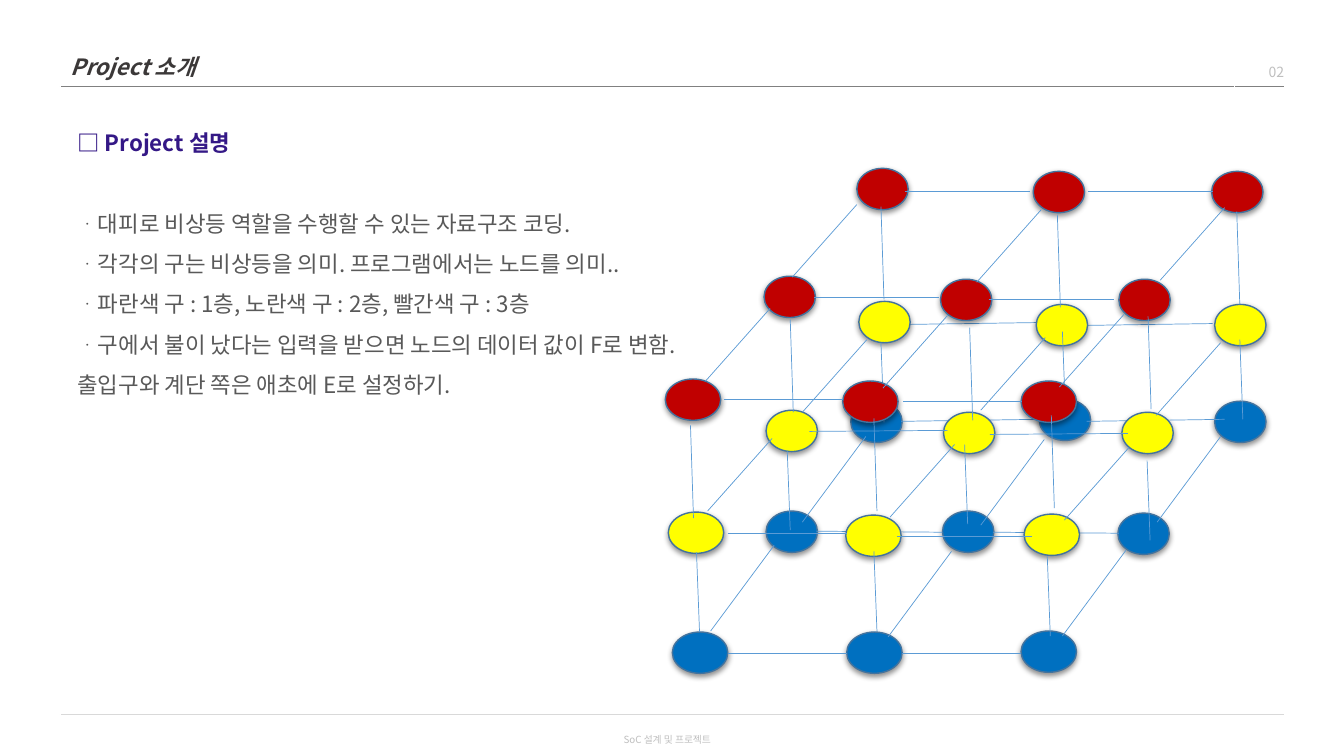
from lxml import etree
from pptx import Presentation
from pptx.dml.color import RGBColor
from pptx.enum.shapes import MSO_CONNECTOR, MSO_SHAPE
from pptx.enum.text import MSO_ANCHOR, PP_ALIGN
from pptx.oxml.ns import qn
from pptx.util import Pt

STRAIGHT, OVAL = MSO_CONNECTOR.STRAIGHT, MSO_SHAPE.OVAL
MIDDLE, BOTTOM = MSO_ANCHOR.MIDDLE, MSO_ANCHOR.BOTTOM
LEFT, CENTER, RIGHT = PP_ALIGN.LEFT, PP_ALIGN.CENTER, PP_ALIGN.RIGHT
FONT = "Noto Sans CJK KR"
INK, GREY, PURPLE, PALE = (RGBColor.from_string(c) for c in ("3B3838", "595959", "341886", "BFBFBF"))
BLUE, YELLOW, RED = (RGBColor.from_string(c) for c in ("0070C0", "FFFF00", "C00000"))
WIRE, RIM = RGBColor(0x5B, 0x9B, 0xD5), RGBColor(0x43, 0x73, 0x9E)

# Content
TITLE, PAGE_NUMBER, FOOTER = "Project 소개", "02", "SoC 설계 및 프로젝트"
HEADING = "□ Project 설명"
NOTES = [
    "ᆞ대피로 비상등 역할을 수행할 수 있는 자료구조 코딩.",
    "ᆞ각각의 구는 비상등을 의미. 프로그램에서는 노드를 의미..",
    "ᆞ파란색 구 : 1층, 노란색 구 : 2층, 빨간색 구 : 3층",
    "ᆞ구에서 불이 났다는 입력을 받으면 노드의 데이터 값이 F로 변함.",
    "출입구와 계단 쪽은 애초에 E로 설정하기.",
]

# Lattice, in units of 72 points: spheres are (left, top), front row first;
# wires are a (run, rise) step with the points they start from
UNIT = 72
FRONT_WIDTH, REAR_WIDTH, SPHERE_HEIGHT = 0.55, 0.51, 0.41
REAR_WIRES = [((1.37, -0.02), [(10.66, 3.23), (8.92, 3.22)])]
FLOORS = [
    (BLUE,
     [(6.67, 6.27), (8.4, 6.27), (10.13, 6.26),
      (7.6, 5.07), (9.35, 5.07), (11.09, 5.09),
      (8.44, 3.98), (10.31, 3.96), (12.05, 3.98)],
     [((-0.63, 0.85), [(7.68, 5.41), (9.44, 5.47), (11.17, 5.46),
                       (12.11, 4.33), (10.36, 4.36), (8.59, 4.33)]),
      ((1.18, 0), [(7.22, 6.48), (8.95, 6.48)]),
      ((1.25, 0.01), [(8.1, 5.27), (9.85, 5.28)]),
      ((1.37, -0.02), [(8.94, 4.18), (10.78, 4.18)])]),
    (YELLOW,
     [(8.39, 5.11), (10.16, 5.1), (6.63, 5.08),
      (9.36, 4.09), (11.13, 4.09), (7.6, 4.07),
      (10.28, 3.02), (12.05, 3.02), (8.52, 2.99)],
     [((0.03, 0.79), [(6.91, 5.48), (8.67, 5.47), (10.39, 5.52),
                      (7.81, 4.47), (9.57, 4.41), (11.38, 4.57),
                      (8.74, 3.4), (10.54, 3.29), (12.3, 3.37)]),
      ((1.18, 0), [(7.22, 5.29)]),
      ((1.34, 0), [(8.9, 5.32)]),
      ((-0.64, 0.72), [(11.2, 4.44), (12.11, 3.4), (7.66, 4.35),
                       (8.6, 3.37), (9.47, 4.41), (10.37, 3.35)]),
      ((1.37, -0.01), [(8.03, 4.28), (9.82, 4.31)])]),
    (RED,
     [(8.36, 3.78), (10.13, 3.78), (6.6, 3.76),
      (9.33, 2.77), (11.1, 2.77), (7.58, 2.74),
      (10.25, 1.7), (12.02, 1.7), (8.5, 1.67)],
     [((0.03, 0.92), [(6.85, 4.22), (8.67, 4.15), (10.43, 4.12),
                      (7.84, 3.17), (9.62, 3.25), (11.39, 3.14),
                      (12.27, 2.1), (10.49, 2.13), (8.74, 2.05)]),
      ((-0.64, 0.72), [(7.64, 3.06), (8.5, 2.03), (10.33, 2.08),
                       (9.4, 3.13), (12.15, 2.06), (11.15, 3.12)]),
      ((1.18, 0), [(7.18, 3.96), (8.96, 3.98)]),
      ((1.24, 0), [(8.08, 2.95), (9.81, 2.97), (8.98, 1.9), (10.79, 1.9)])]),
]


def units(*values):
    return [Pt(value * UNIT) for value in values]


def add_node(parent, tag, **attributes):
    return etree.SubElement(parent, qn(tag), attributes)


def write(para, text, align=LEFT, spacing=1.5, **look):
    para.alignment, para.line_spacing = align, spacing
    span = para.add_run()
    span.text = text
    color = look.pop("color")
    for name, value in {"name": FONT, "bold": False, "italic": False, **look}.items():
        setattr(span.font, name, value)
    span.font.color.rgb = color
    add_node(span.font._element, "a:ea", typeface=FONT)


def add_band(page, left, top, widths, height, side, color):
    """One-row table without fill, ruled along one side."""
    frame = page.shapes.add_table(1, len(widths), *units(left, top, sum(widths), height))
    table = frame.table
    table.first_row = table.horz_banding = False
    for column, width in zip(table.columns, widths):
        column.width = Pt(width * UNIT)
    for cell in table.rows[0].cells:
        properties = cell._tc.get_or_add_tcPr()
        rule = add_node(properties, side, w=str(Pt(0.75)))
        add_node(add_node(rule, "a:solidFill"), "a:srgbClr", val=color)
        cell.fill.background()
        cell.vertical_anchor = MIDDLE
    return table.rows[0].cells


def add_wires(page, groups):
    for (run, rise), starts in groups:
        for x, y in starts:
            wire = page.shapes.add_connector(STRAIGHT, *units(x, y, x + run, y + rise))
            wire.line.color.rgb, wire.line.width = WIRE, Pt(0.5)
            add_node(wire._element.spPr, "a:effectLst")


def add_sphere(page, left, top, width, color):
    sphere = page.shapes.add_shape(OVAL, *units(left, top, width, SPHERE_HEIGHT))
    sphere.fill.solid()
    sphere.fill.fore_color.rgb = color
    sphere.line.color.rgb, sphere.line.width = RIM, Pt(1)
    effects = add_node(sphere._element.spPr, "a:effectLst")
    shadow = add_node(effects, "a:outerShdw", blurRad=str(Pt(4)), dist=str(Pt(2)),
                      dir="5400000", algn="ctr", rotWithShape="0")
    add_node(add_node(shadow, "a:srgbClr", val="000000"), "a:alpha", val="43000")


def main():
    deck = Presentation()
    deck.slide_width, deck.slide_height = Pt(960), Pt(540)
    page = deck.slides.add_slide(deck.slide_layouts[6])
    add_wires(page, REAR_WIRES)

    # Header and footer bands
    title, number = add_band(page, 0.6, 0.28, [11.65, 0.49], 0.41, "a:lnB", "808080")
    write(title.text_frame.paragraphs[0], TITLE, size=Pt(16), color=INK, bold=True, italic=True)
    number.vertical_anchor, number.margin_right = BOTTOM, 0
    write(number.text_frame.paragraphs[0], PAGE_NUMBER, RIGHT, 1, size=Pt(10), color=PALE)
    footer, = add_band(page, 0.6, 7.09, [12.14], 0.41, "a:lnT", "D9D9D9")
    footer.margin_left = 0
    write(footer.text_frame.paragraphs[0], FOOTER, CENTER, size=Pt(7), color=PALE)

    # Description
    box = page.shapes.add_textbox(*units(0.67, 1.1, 8, 3.13))
    frame = box.text_frame
    frame.word_wrap = True
    write(frame.paragraphs[0], HEADING, size=Pt(16), color=PURPLE, bold=True)
    frame.paragraphs[0].space_after = Pt(28.8)
    for note in NOTES:
        write(frame.add_paragraph(), note, size=Pt(16), color=GREY)

    # Floors, bottom to top
    for color, spheres, wires in FLOORS:
        for index, (left, top) in enumerate(spheres):
            add_sphere(page, left, top, FRONT_WIDTH if index < 3 else REAR_WIDTH, color)
        add_wires(page, wires)

    deck.save("out.pptx")


if __name__ == "__main__":
    main()
